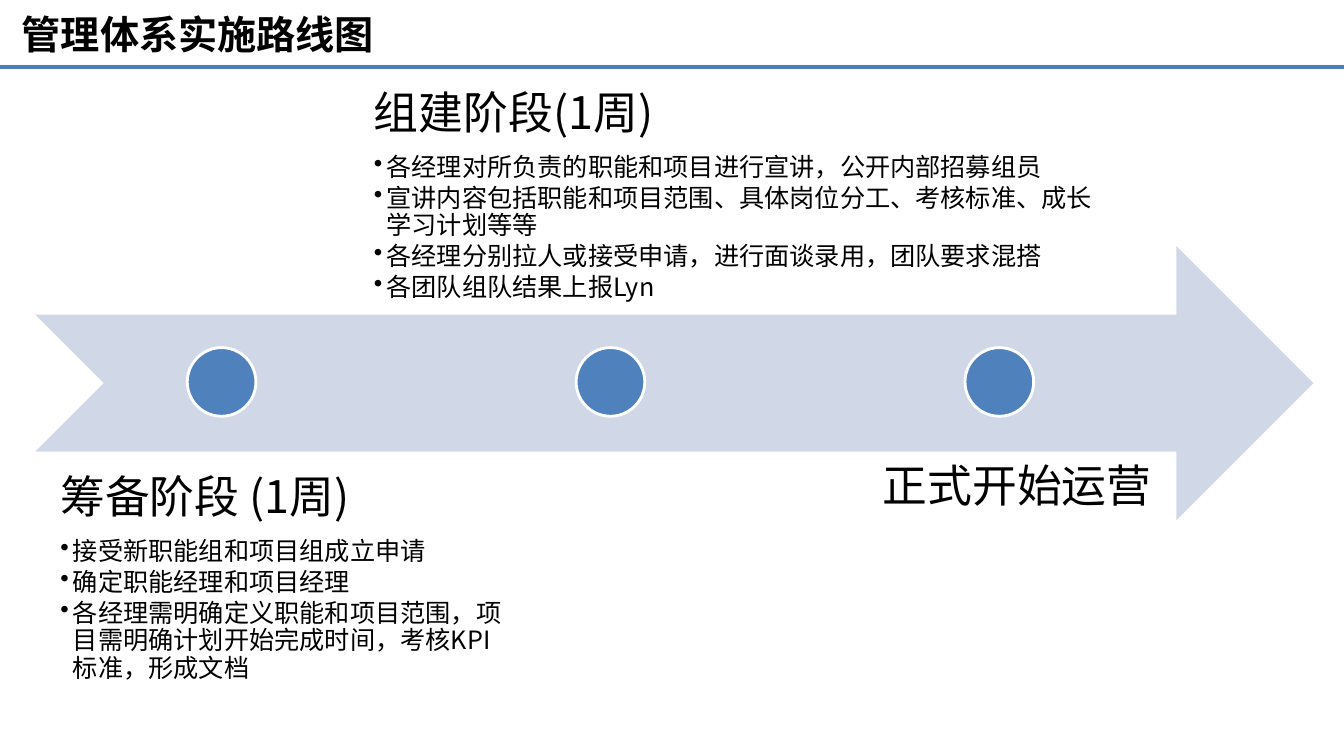
from dataclasses import dataclass

from lxml.etree import SubElement
from pptx import Presentation
from pptx.dml.color import RGBColor
from pptx.enum.shapes import MSO_CONNECTOR, MSO_SHAPE
from pptx.enum.text import MSO_ANCHOR, PP_ALIGN
from pptx.oxml.ns import qn
from pptx.util import Cm, Pt


@dataclass
class Theme:
    ink: str = "000000"
    band: str = "D0D8E8"
    dot: str = "4F81BD"
    edge: str = "FFFFFF"
    rule: str = "4B7EBC"
    font: str = "Noto Sans CJK SC"
    title_font: str = "Arial Narrow"
    title: int = 28
    head: int = 32
    body: int = 18


def color(code):
    return RGBColor.from_string(code)


def write(para, text, size, font, ink, bold=False, align=None,
          space=None, after=0, bullet=False):
    """Put formatted text into a paragraph."""
    run = para.add_run()
    run.text = text
    run.font.size = Pt(size)
    run.font.name = font
    run.font.bold = bold
    run.font.color.rgb = color(ink)
    SubElement(run.font._element, qn("a:ea"), typeface=font)
    para.alignment = align
    para.line_spacing = space
    para.space_before = Pt(0)
    para.space_after = Pt(after)
    if bullet:
        para.level = 1
        props = para._p.get_or_add_pPr()
        props.set("marL", str(Cm(0.32)))
        props.set("indent", str(Cm(-0.32)))
        SubElement(props, qn("a:buChar"), char="•")


class Board:
    def __init__(self, slide, theme):
        self.shapes = slide.shapes
        self.theme = theme

    def shape(self, kind, x, y, w, h, fill, edge=None):
        item = self.shapes.add_shape(kind, Cm(x), Cm(y), Cm(w), Cm(h))
        item.shadow.inherit = False
        item.fill.solid()
        item.fill.fore_color.rgb = color(fill)
        if edge:
            item.line.color.rgb = color(edge)
            item.line.width = Pt(2)
        else:
            item.line.fill.background()

    def line(self, y, width):
        item = self.shapes.add_connector(
            MSO_CONNECTOR.STRAIGHT, 0, Cm(y), Cm(width), Cm(y))
        item.line.color.rgb = color(self.theme.rule)
        item.line.width = Pt(3)
        SubElement(item._element.spPr, qn("a:effectLst"))

    def frame(self, x, y, w, h, anchor=MSO_ANCHOR.TOP):
        box = self.shapes.add_textbox(Cm(x), Cm(y), Cm(w), Cm(h))
        frame = box.text_frame
        frame.word_wrap = True
        frame.vertical_anchor = anchor
        return frame

    def title(self, text):
        look = self.theme
        frame = self.frame(0.3, 0.13, 26.42, 1.45)
        write(frame.paragraphs[0], text, look.title, look.title_font,
              look.ink, bold=True)

    def stage(self, area, head, items, anchor, align=None):
        look = self.theme
        frame = self.frame(*area, anchor)
        frame.margin_left = frame.margin_right = Cm(0.63)
        frame.margin_top = frame.margin_bottom = Cm(0.63)
        write(frame.paragraphs[0], head, look.head, look.font, look.ink,
              align=align, space=0.9, after=0.35 * look.head)
        for text in items:
            write(frame.add_paragraph(), text, look.body, look.font, look.ink,
                  space=0.9, after=0.15 * look.body, bullet=True)


STAGES = [
    ((0.89, 10.92, 12.4, 6.91), "筹备阶段 (1周)", [
        "接受新职能组和项目组成立申请",
        "确定职能经理和项目经理",
        "各经理需明确定义职能和项目范围，项目需明确计划开始完成时间，考核KPI标准，形成文档",
    ], MSO_ANCHOR.BOTTOM),
    ((8.79, 1.65, 19.51, 6.91), "组建阶段(1周)", [
        "各经理对所负责的职能和项目进行宣讲，公开内部招募组员",
        "宣讲内容包括职能和项目范围、具体岗位分工、考核标准、成长学习计划等等",
        "各经理分别拉人或接受申请，进行面谈录用，团队要求混搭",
        "各团队组队结果上报Lyn",
    ], MSO_ANCHOR.TOP),
    ((20.96, 6.6, 9.35, 6.91), "正式开始运营", [],
     MSO_ANCHOR.BOTTOM, PP_ALIGN.CENTER),
]


def main():
    deck = Presentation()
    deck.slide_width, deck.slide_height = Cm(33.87), Cm(19.05)
    theme = Theme()
    board = Board(deck.slides.add_slide(deck.slide_layouts[6]), theme)

    # Roadmap arrow
    board.shape(MSO_SHAPE.NOTCHED_RIGHT_ARROW, 0.89, 6.2, 32.21, 6.91,
                theme.band)

    # Stages with their evenly spaced milestones
    for i, stage in enumerate(STAGES):
        board.stage(*stage)
        board.shape(MSO_SHAPE.OVAL, 4.72 + 9.8 * i, 8.76, 1.73, 1.73,
                    theme.dot, theme.edge)

    # Title and rule
    board.line(1.68, 33.87)
    board.title("管理体系实施路线图")
    deck.save("out.pptx")


if __name__ == "__main__":
    main()
